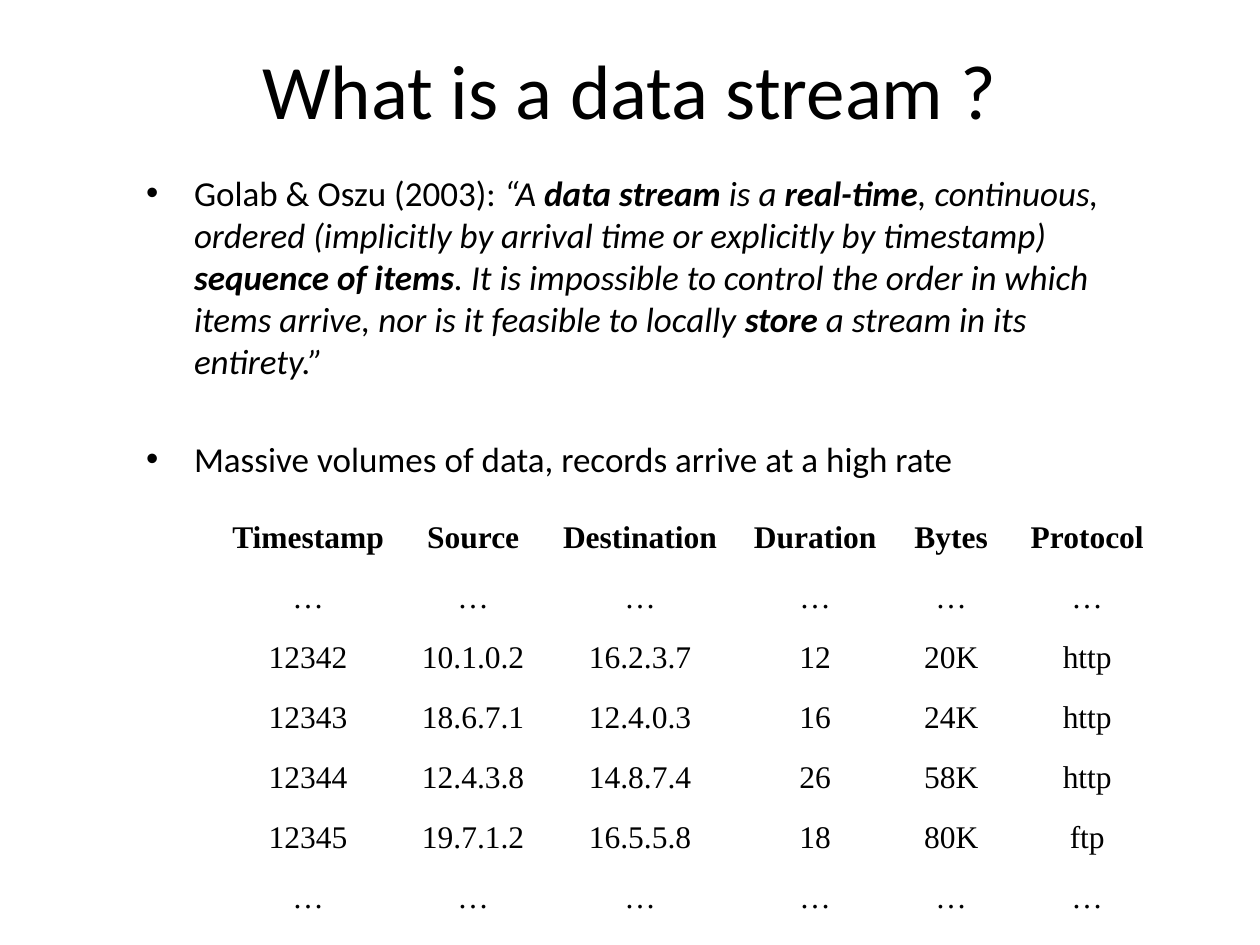
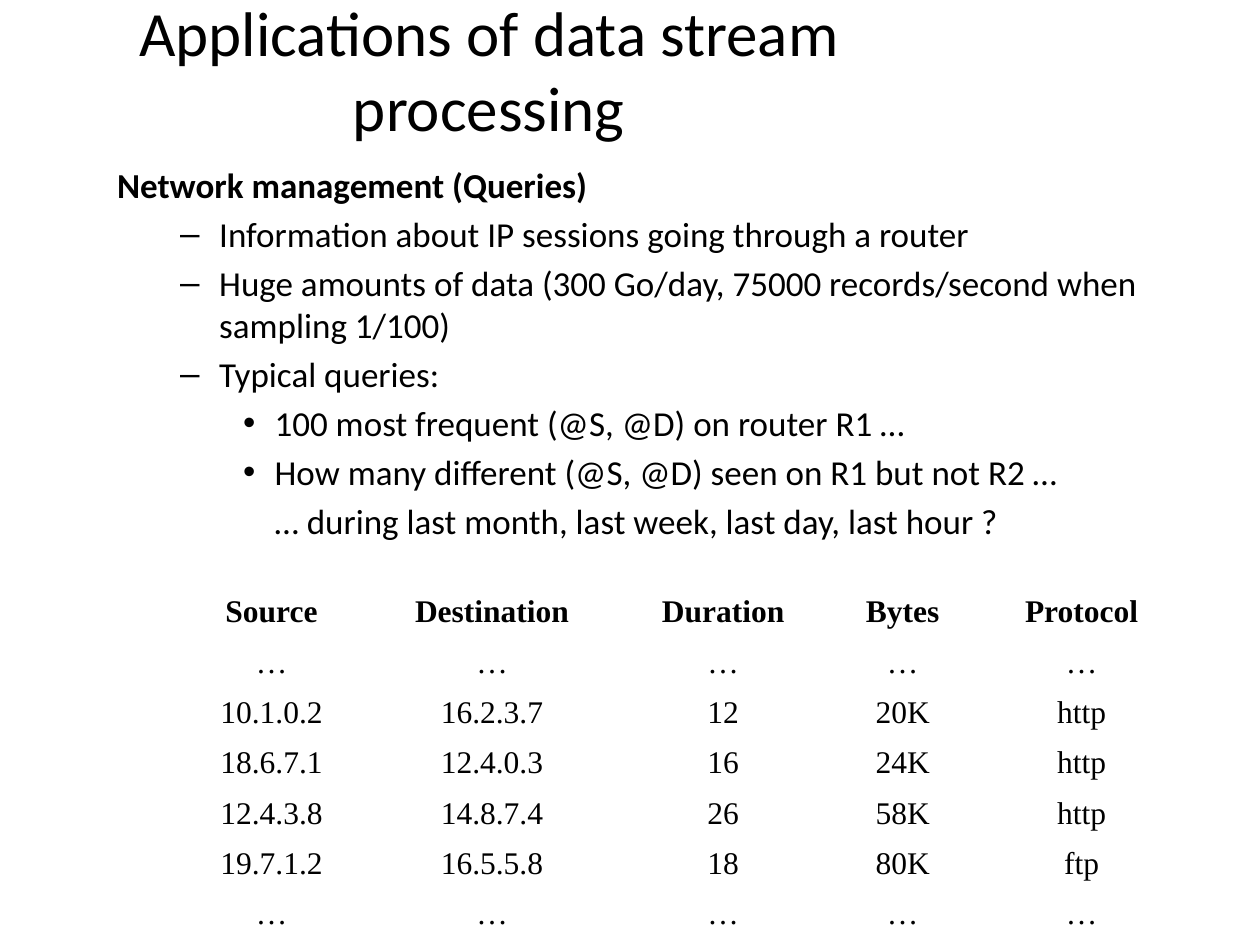
from dataclasses import dataclass

from lxml.etree import SubElement
from pptx import Presentation
from pptx.dml.color import RGBColor as RGB
from pptx.enum.text import MSO_ANCHOR as Anchor, MSO_AUTO_SIZE as Fit, PP_ALIGN as Align
from pptx.oxml.ns import qn
from pptx.util import Inches, Pt


@dataclass(frozen=True)
class Theme:
    ink: RGB = RGB(0, 0, 0)
    font: str = "Calibri"
    serif: str = "Times New Roman"
    title: int = 44
    small: int = 36  # longer titles
    body: int = 20
    cell: int = 18
    gap: int = 4  # space between list items
    wide: int = 32  # space between separate topics


THEME = Theme()

# Each list style: level, left margin, first-line indent, bullet
STYLES = {
    "dot": (0, 0.38, -0.38, "•"),
    "head": (0, 0.38, -0.38, None),
    "dash": (1, 0.81, -0.31, "–"),
    "sub": (2, 1.25, -0.25, "•"),
    "more": (2, 1.25, 0, None),
}

HEADS = ["Timestamp", "Source", "Destination", "Duration", "Bytes", "Protocol"]
DOTS = ["…"] * len(HEADS)
LOG = [
    HEADS,
    DOTS,
    ["12342", "10.1.0.2", "16.2.3.7", "12", "20K", "http"],
    ["12343", "18.6.7.1", "12.4.0.3", "16", "24K", "http"],
    ["12344", "12.4.3.8", "14.8.7.4", "26", "58K", "http"],
    ["12345", "19.7.1.2", "16.5.5.8", "18", "80K", "ftp"],
    DOTS,
]

QUOTE = [
    ("Golab & Oszu (2003): ", ""),
    ("“A ", "i"),
    ("data stream", "bi"),
    (" is a ", "i"),
    ("real-time", "bi"),
    (", continuous, ordered (implicitly by arrival time or explicitly by timestamp) ", "i"),
    ("sequence of items", "bi"),
    (". It is impossible to control the order in which items arrive, "
     "nor is it feasible to locally ", "i"),
    ("store", "bi"),
    (" a stream in its entirety.”", "i"),
]


def write(para, text, size=THEME.body, font=THEME.font, bold=False, italic=False, align=None):
    """Add one formatted run to a paragraph."""
    run = para.add_run()
    run.text = text
    face = run.font
    face.name, face.size = font, Pt(size)
    face.bold, face.italic = bold, italic
    face.color.rgb = THEME.ink
    if align is not None:
        para.alignment = align


def place(shape, box):
    shape.left, shape.top, shape.width, shape.height = map(Inches, box)
    frame = shape.text_frame
    frame.word_wrap = True
    frame.auto_size = Fit.NONE
    return frame


def style(para, name):
    """Set level, indents and bullet of a list item."""
    level, left, first, mark = STYLES[name]
    para.level = level
    props = para._p.get_or_add_pPr()
    props.set("marL", str(Inches(left)))
    props.set("indent", str(Inches(first)))
    if mark:
        SubElement(props, qn("a:buChar"), char=mark)
    else:
        SubElement(props, qn("a:buNone"))


def head(slide, box, text, size):
    frame = place(slide.shapes.title, box)
    frame.vertical_anchor = Anchor.MIDDLE
    write(frame.paragraphs[0], text, size=size, align=Align.CENTER)


def listing(slide, box, items, gap=THEME.gap):
    """Fill the body with (style, runs) items."""
    frame = place(slide.placeholders[1], box)
    frame.vertical_anchor = Anchor.TOP
    for i, (name, runs) in enumerate(items):
        para = frame.add_paragraph() if i else frame.paragraphs[0]
        style(para, name)
        para.space_before = Pt(gap if i else 0)
        for text, marks in runs:
            write(para, text, bold="b" in marks, italic="i" in marks)


def grid(slide, box, widths, rows):
    """Draw a plain table with equal rows and a bold header."""
    table = slide.shapes.add_table(len(rows), len(widths), *map(Inches, box)).table
    table.first_row = table.horz_banding = False
    for col, width in zip(table.columns, widths):
        col.width = Inches(width)
    for r, row in enumerate(rows):
        table.rows[r].height = Inches(box[3] / len(rows))
        for c, text in enumerate(row):
            cell = table.cell(r, c)
            cell.fill.background()
            write(cell.text_frame.paragraphs[0], text, size=THEME.cell,
                  font=THEME.serif, bold=r == 0, align=Align.CENTER)


def define(slide):
    head(slide, (0.75, 0.08, 8.5, 1.25), "What is a data stream ?", THEME.title)
    grid(slide, (1.69, 4.08, 7.56, 3.33), (1.51, 1.11, 1.54, 1.24, 0.92, 1.24), LOG)
    listing(slide, (1.06, 1.31, 7.88, 2.6), [
        ("dot", QUOTE),
        ("dot", [("Massive volumes of data, records arrive at a high rate", "")]),
    ], gap=THEME.wide)


def apply(slide):
    head(slide, (0.17, 0.42, 7.42, 0.25), "Applications of data stream processing", THEME.small)
    listing(slide, (0.83, 1.25, 8.58, 3.23), [
        ("head", [("Network management (Queries)", "b")]),
        ("dash", [("Information about IP sessions going through a router", "")]),
        ("dash", [("Huge amounts of data (300 Go/day, 75000 records/second "
                   "when sampling 1/100)", "")]),
        ("dash", [("Typical queries:", "")]),
        ("sub", [("100 most frequent (@S, @D) on router R1 …", "")]),
        ("sub", [("How many different (@S, @D) seen on R1 but not R2 …", "")]),
        ("more", [("… during last month, last week, last day, last hour ?", "")]),
    ])
    # Same log without its timestamps
    grid(slide, (1.42, 4.67, 7.99, 2.8), (1.47, 2.03, 1.64, 1.21, 1.63),
         [row[1:] for row in LOG])


def main():
    deck = Presentation()
    deck.slide_width, deck.slide_height = Inches(10), Inches(7.5)
    for build in (define, apply):
        build(deck.slides.add_slide(deck.slide_layouts[1]))
    deck.save("out.pptx")


if __name__ == "__main__":
    main()
